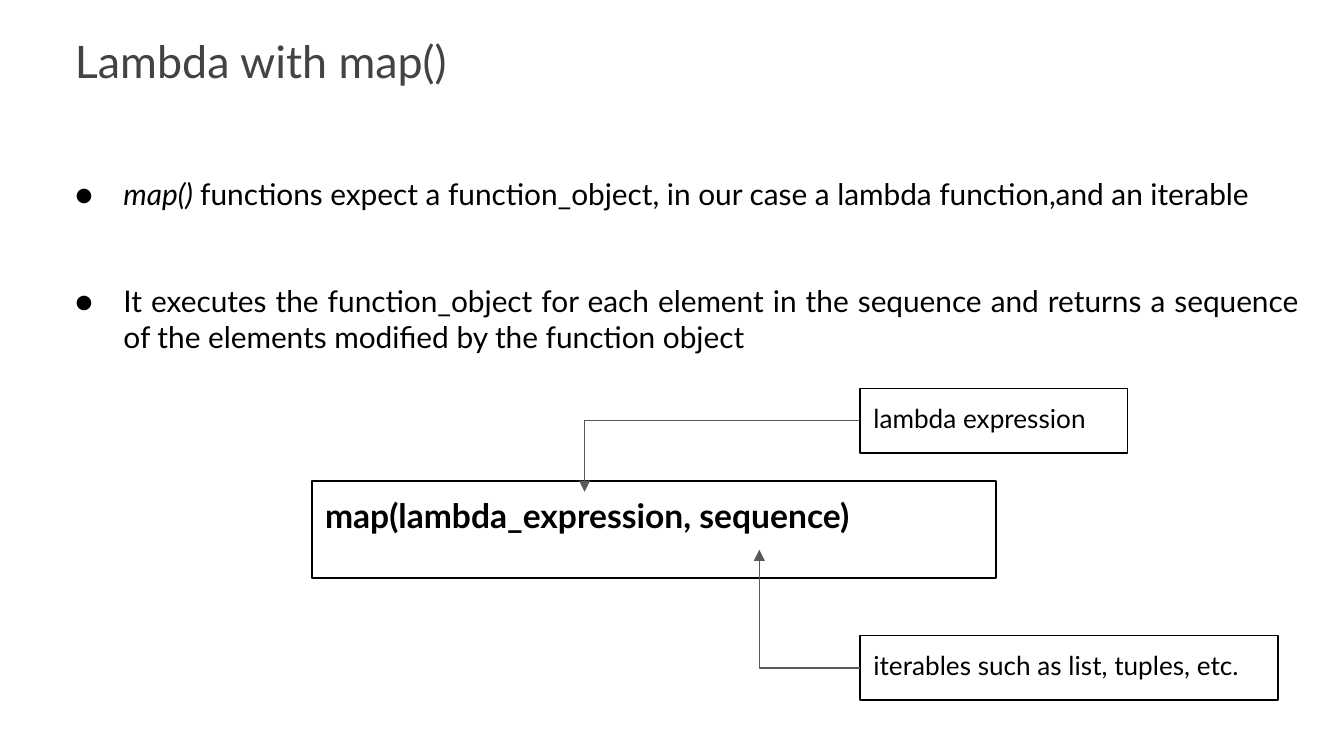
from typing import NamedTuple

from lxml import etree
from pptx import Presentation
from pptx import util as u
from pptx.dml.color import RGBColor
from pptx.enum import shapes, text
from pptx.oxml.ns import qn

PX = 9144  # 100 px to the inch
WIDE = 1000 * PX
HIGH = WIDE * 9 // 16
FONT = "Lato"
BLACK, GREY, DARK = "000000", "595959", "434343"


class Box(NamedTuple):
    words: str
    x: int
    y: int
    w: int
    h: int
    size: int
    bold: bool = False


class Arrow(NamedTuple):
    x1: int
    y1: int
    x2: int
    y2: int


TITLE = Box("Lambda with map()", 46, 15, 843, 58, 24)
BODY = Box("", 32, 121, 945, 169, 16)
BOXES = [
    Box("map(lambda_expression, sequence)", 232, 358, 509, 72, 18, True),
    Box("lambda expression", 640, 289, 199, 48, 14),
    Box("iterables such as list, tuples, etc.", 640, 473, 311, 48, 14),
]
ARROWS = [Arrow(640, 313, 435, 366), Arrow(640, 497, 565, 409)]

# Each bullet is a list of (words, italic) runs
BULLETS = [
    [("map() ", True),
     ("functions expect a function_object, in our case a lambda function,"
      "and an iterable", False)],
    [("It executes the function_object for each element in the sequence and "
      "returns a sequence of the elements modified by the function object",
      False)],
]


def rgb(code: str) -> RGBColor:
    return RGBColor.from_string(code)


def place(box: Box) -> list[int]:
    return [n * PX for n in (box.x, box.y, box.w, box.h)]


def setup(frame) -> None:
    form = {"word_wrap": True, "vertical_anchor": text.MSO_ANCHOR.TOP}
    form |= {f"margin_{side}": 10 * PX
             for side in ("left", "right", "top", "bottom")}
    for name, value in form.items():
        setattr(frame, name, value)


def write(para, words: str, size: int, color: str = BLACK, **form) -> None:
    run = para.add_run()
    run.text = words
    for name, value in {"name": FONT, "size": u.Pt(size), **form}.items():
        setattr(run.font, name, value)
    run.font.color.rgb = rgb(color)


def bullet(para) -> None:
    props = para._p.get_or_add_pPr()
    props.set("marL", str(50 * PX))
    props.set("indent", str(-36 * PX))
    color = etree.SubElement(props, qn("a:buClr"))
    etree.SubElement(color, qn("a:srgbClr"), val=BLACK)
    etree.SubElement(props, qn("a:buFont"), typeface=FONT)
    etree.SubElement(props, qn("a:buChar"), char="●")


def draw_title(slide, box: Box) -> None:
    frame = slide.shapes.add_textbox(*place(box)).text_frame
    setup(frame)
    write(frame.paragraphs[0], box.words, box.size, DARK)


def draw_body(slide, box: Box) -> None:
    frame = slide.shapes.add_textbox(*place(box)).text_frame
    setup(frame)
    for i, runs in enumerate(BULLETS):
        para = frame.add_paragraph() if i else frame.paragraphs[0]
        para.alignment = text.PP_ALIGN.JUSTIFY
        para.space_before = u.Pt(38 if i else 0)
        bullet(para)
        for words, slant in runs:
            write(para, words, box.size, italic=slant)


def draw_box(slide, box: Box) -> None:
    rect = slide.shapes.add_shape(shapes.MSO_SHAPE.RECTANGLE, *place(box))
    rect.shadow.inherit = False
    rect.fill.background()
    rect.line.color.rgb = rgb(BLACK)
    rect.line.width = u.Pt(0.75)
    setup(rect.text_frame)
    para = rect.text_frame.paragraphs[0]
    para.alignment = text.PP_ALIGN.JUSTIFY
    write(para, box.words, box.size, bold=box.bold)


def draw_arrow(slide, arrow: Arrow) -> None:
    link = slide.shapes.add_connector(
        shapes.MSO_CONNECTOR.ELBOW, *(n * PX for n in arrow))
    link.line.color.rgb = rgb(GREY)
    link.line.width = u.Pt(0.75)
    props = link._element.spPr
    # One corner: across first, then up or down
    props.find(qn("a:prstGeom")).set("prst", "bentConnector2")
    etree.SubElement(props.find(qn("a:ln")), qn("a:tailEnd"), type="triangle")
    etree.SubElement(props, qn("a:effectLst"))


def main() -> None:
    deck = Presentation()
    deck.slide_width, deck.slide_height = WIDE, HIGH
    slide = deck.slides.add_slide(deck.slide_layouts[6])

    # Title and bullets
    draw_title(slide, TITLE)
    draw_body(slide, BODY)

    # Call diagram
    for box in BOXES:
        draw_box(slide, box)
    for arrow in ARROWS:
        draw_arrow(slide, arrow)

    deck.save("out.pptx")


if __name__ == "__main__":
    main()
